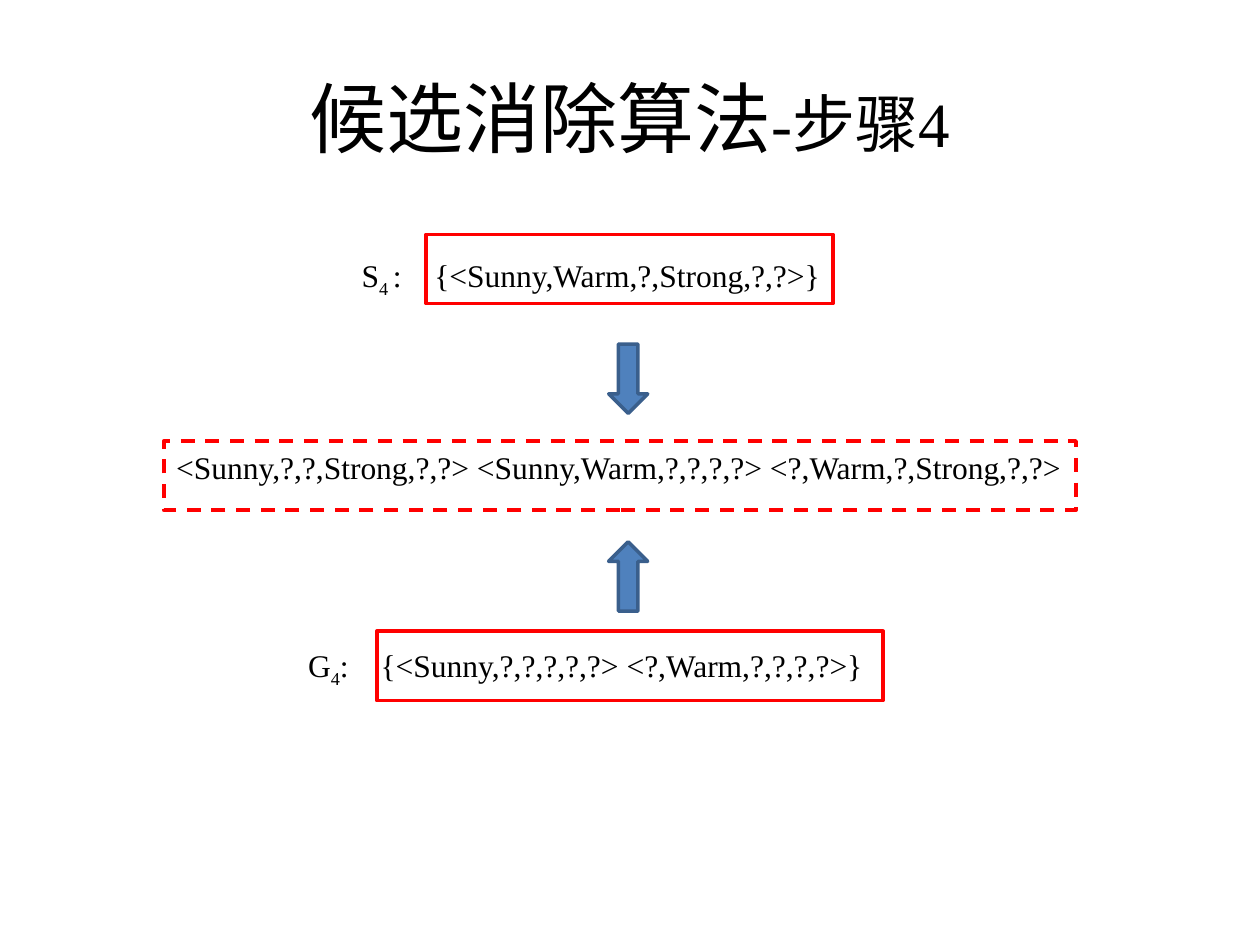
"""Builds the candidate elimination slide for step 4."""
import pptx
import pptx.util
import pptx.dml.color
import pptx.enum.dml
import pptx.enum.shapes
import pptx.enum.text
from lxml import etree

Pt = pptx.util.Pt
RGB = pptx.dml.color.RGBColor.from_string
MSO = pptx.enum.shapes.MSO_SHAPE
THEME = {
    "font": "Times New Roman", "text": RGB("000000"), "frame": RGB("FF0000"),
    "arrow": RGB("4F81BD"), "arrow_line": RGB("3A5F8C"),
    "title": Pt(44), "subtitle": Pt(36), "body": Pt(18), "line": Pt(2),
}
BAND = 39.6


def add_run(p, text, size, baseline=None):
    r = p.add_run()
    r.text = text
    for name, value in {"name": THEME["font"], "size": size}.items():
        setattr(r.font, name, value)
    r.font.color.rgb = THEME["text"]
    if baseline:
        r.font._element.set("baseline", str(baseline))


def add_outlined(kind, left, top, width, color):
    sp = s.shapes.add_shape(kind, Pt(left), Pt(top), Pt(width), Pt(BAND))
    sp.shadow.inherit = False
    sp.fill.background()
    sp.line.color.rgb = color
    sp.line.width = THEME["line"]
    return sp


prs = pptx.Presentation()
prs.slide_width, prs.slide_height = Pt(720), Pt(540)
s = prs.slides.add_slide(prs.slide_layouts[5])

title = s.shapes.title
box = {"left": Pt(36), "top": Pt(21.6), "width": Pt(648), "height": Pt(90)}
for name, value in box.items():
    setattr(title, name, value)
title.text_frame.vertical_anchor = pptx.enum.text.MSO_ANCHOR.MIDDLE
p = title.text_frame.paragraphs[0]
p.alignment = pptx.enum.text.PP_ALIGN.CENTER
add_run(p, "候选消除算法", THEME["title"])
add_run(p, "-步骤4", THEME["subtitle"])

for top, rotation in ((196.6, 0), (309.6, 180)):
    sp = add_outlined(MSO.DOWN_ARROW, 347.8, top, 22.3, THEME["arrow_line"])
    sp.fill.solid()
    sp.fill.fore_color.rgb = THEME["arrow"]
    sp.rotation = rotation

frames = (
    (243.4, 133.9, 232.6, None),
    (93.6, 252, 521.3, pptx.enum.dml.MSO_LINE.DASH),
    (215.3, 360.7, 289.4, None),
)
for left, top, width, dash in frames:
    sp = add_outlined(MSO.RECTANGLE, left, top, width, THEME["frame"])
    sp.line.dash_style = dash

hypotheses = (
    (107.3, 142.6, 459.4, 99.4,
     (("S", None), ("4 ", -25000), (":\t{<Sunny,Warm,?,Strong,?,?>}", None))),
    (93.6, 252.7, 532.8, 7.2,
     (("<Sunny,?,?,Strong,?,?> <Sunny,Warm,?,?,?,?> <?,Warm,?,Strong,?,?>", None),)),
    (103, 365.8, 459.4, 73,
     (("G", None), ("4", -25000), (":\t{<Sunny,?,?,?,?,?> <?,Warm,?,?,?,?>}", None))),
)
for left, top, width, inset, runs in hypotheses:
    sp = s.shapes.add_textbox(Pt(left), Pt(top), Pt(width), Pt(28.8))
    tf = sp.text_frame
    frame_format = {
        "word_wrap": True, "margin_left": Pt(inset),
        "auto_size": pptx.enum.text.MSO_AUTO_SIZE.SHAPE_TO_FIT_TEXT,
    }
    for name, value in frame_format.items():
        setattr(tf, name, value)
    p = tf.paragraphs[0]
    pPr = p._p.get_or_add_pPr()
    ns = "{%s}" % pPr.nsmap["a"]
    tabs = etree.SubElement(pPr, ns + "tabLst")
    etree.SubElement(tabs, ns + "tab", pos=str(Pt(41.5)), algn="l")
    for text, baseline in runs:
        add_run(p, text, THEME["body"], baseline)

prs.save("out.pptx")
